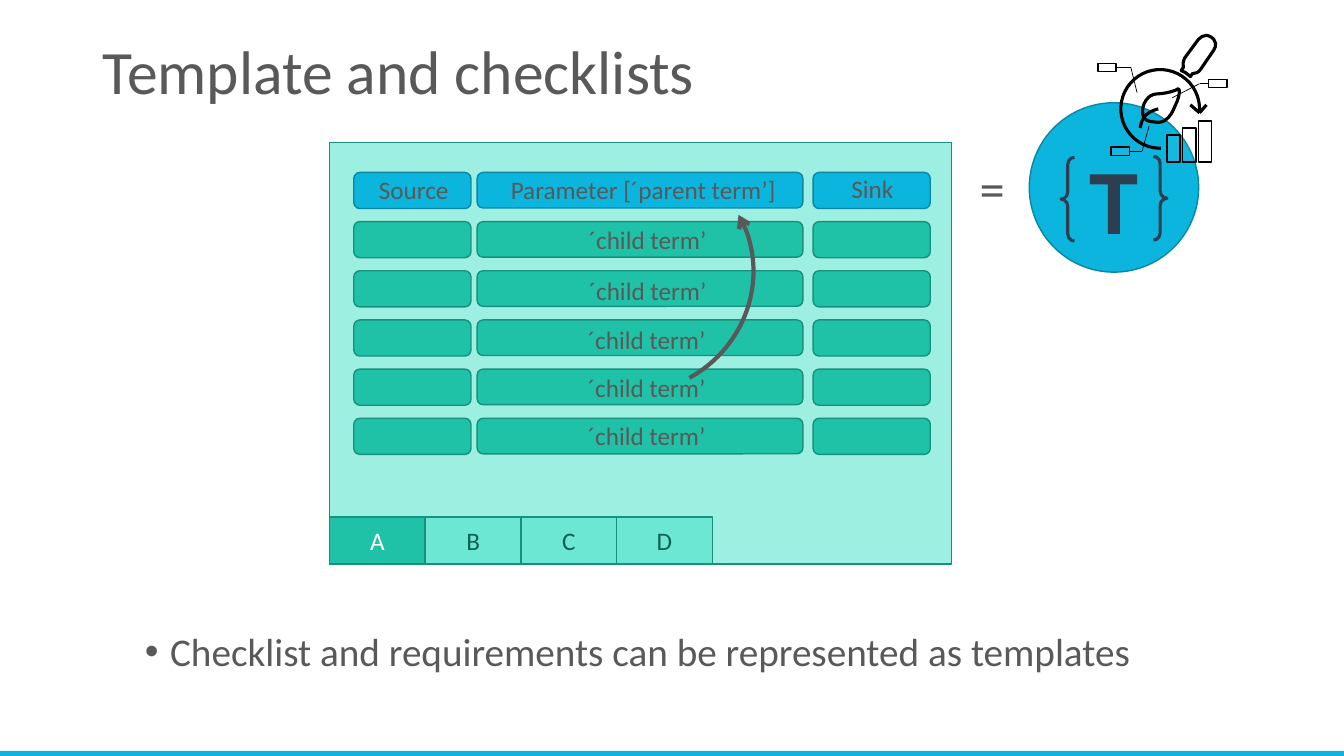
from dataclasses import dataclass
from typing import Optional

from lxml.etree import SubElement
from pptx import Presentation
from pptx.dml.color import RGBColor
from pptx.enum.shapes import MSO_CONNECTOR, MSO_SHAPE
from pptx.enum.text import MSO_ANCHOR, MSO_AUTO_SIZE, PP_ALIGN
from pptx.oxml.ns import qn
from pptx.util import Pt

HUES = {
    "text": "595959", "blue": "0BB5DD", "rim": "0886A3", "pale": "9DEFE2",
    "mint": "6CE7D3", "teal": "1FC2A7", "edge": "17907C", "deep": "106154",
    "navy": "2D3E50", "white": "FFFFFF", "black": "000000",
}


@dataclass
class Box:
    x: float
    y: float
    w: float
    h: float
    kind: MSO_SHAPE = MSO_SHAPE.RECTANGLE
    fill: Optional[str] = None
    line: Optional[str] = None
    width: float = 1
    turn: float = 0
    adj: tuple = ()
    alpha: Optional[int] = None


@dataclass
class Label:
    text: str
    x: float
    y: float
    w: float
    h: float
    size: float = 18
    wrap: bool = True
    grow: bool = True
    align: PP_ALIGN = PP_ALIGN.LEFT


def hue(name: str) -> RGBColor:
    return RGBColor.from_string(HUES[name])


def paint(shape, fill: Optional[str], line: Optional[str], width: float) -> None:
    shape.shadow.inherit = False
    if fill:
        shape.fill.solid()
        shape.fill.fore_color.rgb = hue(fill)
    else:
        shape.fill.background()
    if line:
        shape.line.color.rgb = hue(line)
        shape.line.width = Pt(width)
    else:
        shape.line.fill.background()


def style(para, size: float, color: str = "text") -> None:
    para.font.name = "Calibri"
    para.font.size = Pt(size)
    para.font.color.rgb = hue(color)


def draw(home, box: Box):
    shape = home.add_shape(box.kind, Pt(box.x), Pt(box.y), Pt(box.w), Pt(box.h))
    paint(shape, box.fill, box.line, box.width)
    shape.rotation = box.turn
    for i, value in enumerate(box.adj):
        shape.adjustments[i] = value
    if box.alpha is not None:
        color = shape._element.spPr.find(qn("a:solidFill"))[0]
        SubElement(color, qn("a:alpha")).set("val", str(box.alpha * 1000))
    return shape


def write(label: Label):
    area = page.add_textbox(Pt(label.x), Pt(label.y), Pt(label.w), Pt(label.h))
    frame = area.text_frame
    frame.word_wrap = label.wrap
    if label.grow:
        frame.auto_size = MSO_AUTO_SIZE.SHAPE_TO_FIT_TEXT
    para = frame.paragraphs[0]
    para.text = label.text
    para.alignment = label.align
    style(para, label.size)
    return frame


def join(home, x1: float, y1: float, x2: float, y2: float, width: float) -> None:
    link = home.add_connector(MSO_CONNECTOR.STRAIGHT, Pt(x1), Pt(y1), Pt(x2), Pt(y2))
    link.line.color.rgb = hue("black")
    link.line.width = Pt(width)
    SubElement(link._element.spPr, qn("a:effectLst"))


def trace(home, start: tuple, steps: list, close: bool = True,
          fill: Optional[str] = None, line: Optional[str] = "black") -> None:
    """Steps of two numbers are lines, steps of six are cubic curves."""
    ends = [(Pt(step[-2]), Pt(step[-1])) for step in steps]
    pen = home.build_freeform(Pt(start[0]), Pt(start[1]))
    pen.add_line_segments(ends, close=close)
    shape = pen.convert_to_shape()
    paint(shape, fill, line, 2.25)
    left = min(x for x, _ in [(Pt(start[0]), 0)] + ends)
    top = min(y for _, y in [(0, Pt(start[1]))] + ends)
    marks = list(shape._element.iter(qn("a:lnTo")))
    for mark, step in zip(marks, steps):
        if len(step) == 6:
            curve = mark.makeelement(qn("a:cubicBezTo"), {})
            for x, y in zip(step[::2], step[1::2]):
                spot = {"x": str(Pt(x) - left), "y": str(Pt(y) - top)}
                SubElement(curve, qn("a:pt"), spot)
            mark.getparent().replace(mark, curve)


deck = Presentation()
deck.slide_width, deck.slide_height = Pt(960), Pt(540)
page = deck.slides.add_slide(deck.slide_layouts[6]).shapes

# Footer bar and title
draw(page, Box(0, 536.4, 960, 3.6, fill="blue"))
title = write(Label("Template and checklists", 66.2, 0.7, 828, 104.4, 44, grow=False))
title.vertical_anchor = MSO_ANCHOR.MIDDLE
title.paragraphs[0].line_spacing = 0.9

# Panel with sheet tabs
draw(page, Box(235.4, 101.8, 444.1, 301, fill="pale", line="edge"))
for i, name in enumerate("ABCD"):
    tab = draw(page, Box(235.4 + 68.35 * i, 369.2, 68.35, 33.7,
                         fill="mint" if i else "teal", line="edge"))
    tab.text_frame.vertical_anchor = MSO_ANCHOR.MIDDLE
    para = tab.text_frame.paragraphs[0]
    para.text = name
    para.alignment = PP_ALIGN.CENTER
    style(para, 18, "deep" if i else "white")

# Grid: one header row and five child rows
for row in range(6):
    fill, line = ("teal", "edge") if row else ("blue", "rim")
    for x, w, h in ((252.7, 83.7, 25.8), (340.8, 232.7, 25.4), (580.8, 83.7, 25.8)):
        draw(page, Box(x, 123.2 + 35.12 * row, w, h,
                       MSO_SHAPE.ROUNDED_RECTANGLE, fill, line))

# Grid labels
heads = [
    Label("Source", 263.5, 121, 64.8, 29, wrap=False),
    Label("Sink", 601, 120.2, 44.6, 29, wrap=False),
    Label("Parameter [´parent term’]", 357.8, 121, 205.9, 29, wrap=False),
]
kids = [Label("´child term’", x, y, 153.4, 29, align=PP_ALIGN.CENTER)
        for x, y in ((385.9, 156.5), (385.9, 193), (385.2, 228.2), (385.2, 262.1), (385.2, 296.6))]
for label in heads + kids:
    write(label)

# Curved arrow from child to parent
arc = draw(page, Box(370.1, 115.9, 169.9, 162.7, MSO_SHAPE.ARC, line="text", width=3,
                     turn=135, adj=(151.34, 207.7)))
arc._element.spPr.find(qn("a:xfrm")).set("flipH", "1")
SubElement(arc.line._get_or_add_ln(), qn("a:tailEnd")).set("type", "arrow")

# Template badge
draw(page, Box(735.2, 73.4, 121, 121, MSO_SHAPE.OVAL, "blue", "rim"))

# Icon: tags, bars and leader lines
icon = page.add_group_shape().shapes
tags = [(784.3, 45.4, 13, 5.8), (793.7, 105.1, 13, 5.8), (863.4, 56.9, 13, 5.8)]
bars = [(833.6 + 11.2 * i, 96.4 - 5 * i, 9.4, 19.4 + 5 * i) for i in range(3)]
for spot in tags + bars:
    draw(icon, Box(*spot, fill="white", line="black", alpha=5))
leads = [
    (797, 48.2, 807.8, 48.2), (807.8, 48.2, 812.2, 66.2),
    (807.1, 108, 815.8, 108), (815.8, 108, 820.8, 90),
    (856.8, 59.8, 863.3, 59.8), (837.4, 69.8, 856.8, 59.8),
]
for lead in leads:
    join(icon, *lead, 0.5)

# Icon: lens ring with arrow tip
draw(icon, Box(800.6, 49.7, 56.2, 56.2, MSO_SHAPE.ARC, line="black", width=2.25,
               turn=161, adj=(172.78, 121.36)))
for x in (861.8, 850.3):
    join(icon, 856.8, 80.6, x, 74.9, 2.25)

# Icon: leaf, stem and handle
trace(icon, (817.2, 84.2), [
    (815.8, 82.1, 815.8, 77, 817.2, 74.2), (818.6, 71.3, 820.8, 67, 828, 67),
    (830.2, 67, 833.8, 66.2, 836.6, 65.5), (838.8, 65.5, 841, 63.4, 841.7, 63.4),
    (842.4, 63.4, 842.4, 64.8, 842.4, 66.2), (842.4, 67.7, 841.7, 69.8, 841, 72),
    (840.2, 73.4, 838.1, 79.2, 836.6, 81.4), (835.2, 83.5, 833.8, 85, 831.6, 86.4),
    (830.2, 87.1, 827.3, 87.8, 824.4, 87.1), (822.2, 87.1, 818.6, 86.4, 817.2, 84.2)])
trace(icon, (814.3, 91.4), [(815.8, 85.7, 816.5, 80.6, 827.3, 77.8)], close=False)
trace(icon, (861.8, 25.2), [
    (862.6, 25.2, 864, 25.9, 865.4, 26.6), (866.9, 27.4, 867.6, 28.8, 868.3, 31),
    (868.3, 32.4, 868.3, 34.6, 866.9, 36), (857.5, 49.7),
    (856.1, 51.8, 853.9, 52.6, 851.8, 52.6), (850.3, 54.7), (849.6, 54),
    (848.9, 53.3, 847.4, 52.6, 846.7, 51.8), (843.8, 50.4), (845.3, 48.2),
    (844.6, 46.1, 845.3, 43.9, 846, 41.8), (856.1, 28.1),
    (857.5, 26.6, 859.7, 25.2, 861.8, 25.2)])

# Braces around the letter T
pair = page.add_group_shape().shapes
for x, y, turn in ((823.9, 111.7, 180), (757.9, 112.4, 0)):
    draw(pair, Box(x, y, 9.6, 59.8, MSO_SHAPE.LEFT_BRACE, line="navy", width=2.25,
                   turn=turn, adj=(0.53, 0.5)))
trace(page, (778.5, 124.6), [
    (812.2, 124.6), (812.2, 131.8), (799.9, 131.8), (799.9, 167),
    (791.3, 167), (791.3, 131.8), (778.5, 131.8)], fill="navy", line=None)
write(Label("=", 692.6, 108.7, 32.4, 39.6, 36))

# Bullet line
note = write(Label("Checklist and requirements can be represented as templates",
                   96.5, 448.2, 828, 53.3, 28, grow=False)).paragraphs[0]
note.line_spacing = 0.9
props = note._p.get_or_add_pPr()
props.set("marL", str(Pt(18)))
props.set("indent", str(Pt(-18)))
for i, (tag, key, value) in enumerate((("a:buFont", "typeface", "Arial"), ("a:buChar", "char", "•"))):
    props.insert(1 + i, props.makeelement(qn(tag), {key: value}))

deck.save("out.pptx")
